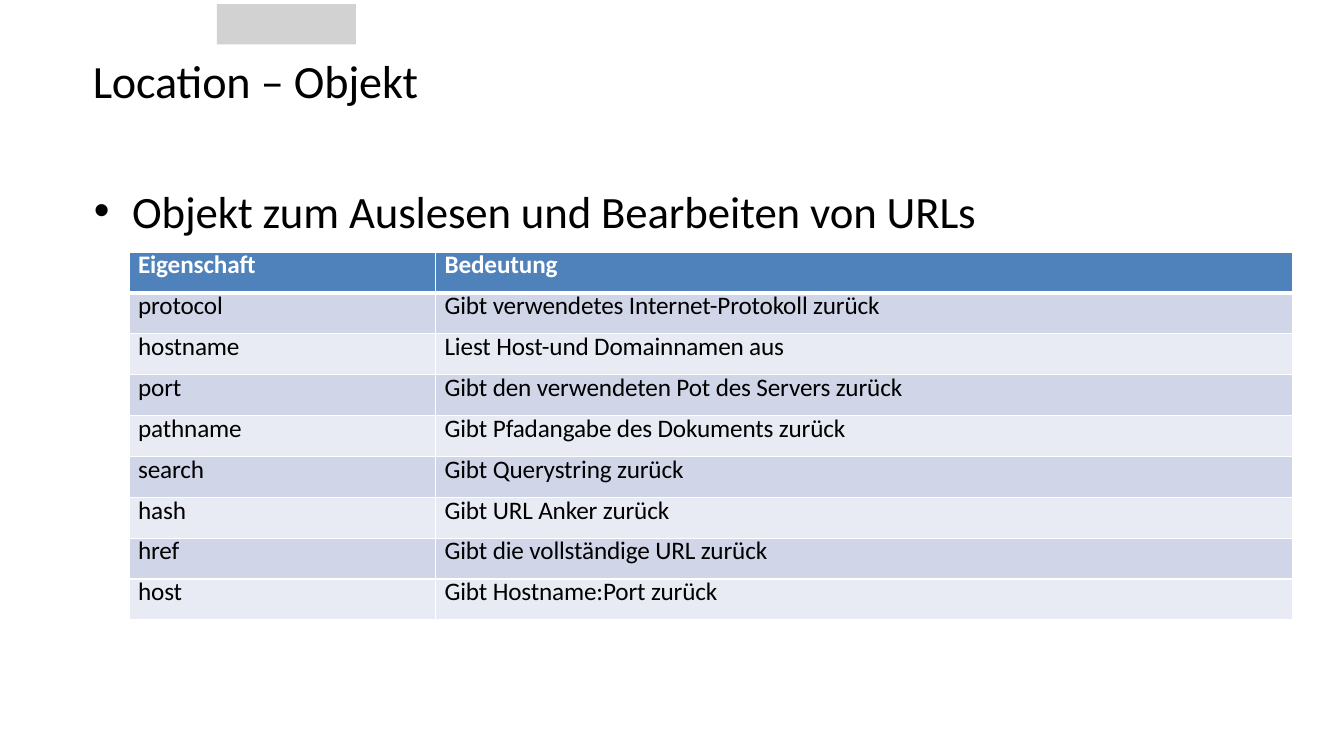
from lxml import etree
from pptx import Presentation
from pptx.dml.color import RGBColor
from pptx.enum.shapes import MSO_SHAPE
from pptx.enum.text import MSO_ANCHOR, MSO_AUTO_SIZE, PP_ALIGN
from pptx.oxml.ns import qn
from pptx.util import Inches, Pt

TITLE = "Location – Objekt"
BULLET = "Objekt zum Auslesen und Bearbeiten von URLs"
ROWS = [
    ("Eigenschaft", "Bedeutung"),
    ("protocol", "Gibt verwendetes Internet-Protokoll zurück"),
    ("hostname", "Liest Host-und Domainnamen aus"),
    ("port", "Gibt den verwendeten Pot des Servers zurück"),
    ("pathname", "Gibt Pfadangabe des Dokuments zurück"),
    ("search", "Gibt Querystring zurück"),
    ("hash", "Gibt URL Anker zurück"),
    ("href", "Gibt die vollständige URL zurück"),
    ("host", "Gibt Hostname:Port zurück"),
]
COL_WIDTHS = (3.04, 8.5)
TABLE_HEIGHT = 3.65

BLACK = RGBColor(0x00, 0x00, 0x00)
WHITE = RGBColor(0xFF, 0xFF, 0xFF)
GREY = RGBColor(0xD3, 0xD2, 0xD2)
HEADER = RGBColor(0x4F, 0x81, 0xBB)
BANDS = (RGBColor(0xE9, 0xEB, 0xF4), RGBColor(0xD0, 0xD6, 0xE8))
FONT = "Calibri"
RECTANGLE = MSO_SHAPE.RECTANGLE
TOP = MSO_ANCHOR.TOP
LEFT = PP_ALIGN.LEFT
NO_FIT = MSO_AUTO_SIZE.NONE


def write(tf, text, size, color=BLACK, bold=False, spacing=-0.1):
    """Put one formatted paragraph into a text frame."""
    p = tf.paragraphs[0]
    r = p.add_run()
    r.text = text
    r._r.get_or_add_rPr().set("spc", str(round(spacing * 100)))
    p.alignment = LEFT
    p.font.name, p.font.size, p.font.bold = FONT, Pt(size), bold
    p.font.color.rgb = color
    r.font.name, r.font.size, r.font.bold = FONT, Pt(size), bold
    r.font.color.rgb = color
    return p


def set_frame(tf):
    """Give a text frame tight margins and top anchoring."""
    tf.margin_left = tf.margin_right = tf.margin_bottom = 0
    tf.margin_top = Inches(0.01)
    tf.word_wrap = True
    tf.auto_size = NO_FIT
    tf.vertical_anchor = TOP


def set_borders(cell, top, bottom):
    """Draw white borders, with the top and bottom widths in points."""
    tc_pr = cell._tc.get_or_add_tcPr()
    for side, width in (("L", 1), ("R", 1), ("T", top), ("B", bottom)):
        ln = etree.SubElement(tc_pr, qn(f"a:ln{side}"), w=str(Pt(width)))
        fill = etree.SubElement(ln, qn("a:solidFill"))
        etree.SubElement(fill, qn("a:srgbClr"), val=str(WHITE))


def add_table(s):
    """Add the banded table of properties."""
    frame = s.shapes.add_table(
        len(ROWS), len(COL_WIDTHS), Inches(1.28), Inches(2.5),
        Inches(sum(COL_WIDTHS)), Inches(TABLE_HEIGHT))
    table = frame.table
    for column, width in zip(table.columns, COL_WIDTHS):
        column.width = Inches(width)
    for i, texts in enumerate(ROWS):
        table.rows[i].height = Inches(TABLE_HEIGHT / len(ROWS))
        is_header = i == 0
        for j, text in enumerate(texts):
            cell = table.cell(i, j)
            cell.margin_left = Inches(0.09)
            cell.margin_right = cell.margin_top = cell.margin_bottom = 0
            cell.vertical_anchor = TOP
            set_borders(cell, 3 if i == 1 else 1, 3 if is_header else 1)
            cell.fill.solid()
            cell.fill.fore_color.rgb = HEADER if is_header else BANDS[i % 2]
            p = write(cell.text_frame, text, 18,
                      WHITE if is_header else BLACK, is_header)
            p.line_spacing = Pt(20.4)


def main():
    """Build the slide and save it."""
    prs = Presentation()
    prs.slide_width, prs.slide_height = Inches(13.33), Inches(7.5)
    s = prs.slides.add_slide(prs.slide_layouts[5])

    bar = s.shapes.add_shape(
        RECTANGLE, Inches(2.15), Inches(0.04), Inches(1.38), Inches(0.4))
    bar.shadow.inherit = False
    bar.fill.solid()
    bar.fill.fore_color.rgb = GREY
    bar.line.fill.background()

    title = s.shapes.title
    title.left, title.top = Inches(0.92), Inches(0.51)
    title.width, title.height = Inches(3.26), Inches(0.58)
    set_frame(title.text_frame)
    p = write(title.text_frame, TITLE, 33, spacing=-0.15)
    p.space_before = Pt(1)

    box = s.shapes.add_textbox(
        Inches(0.92), Inches(1.81), Inches(8.82), Inches(0.56))
    set_frame(box.text_frame)
    p = write(box.text_frame, BULLET, 32)
    p.space_before = Pt(1.1)
    p_pr = p._p.get_or_add_pPr()
    p_pr.set("marL", str(Inches(0.39)))
    p_pr.set("indent", str(Inches(-0.38)))
    bullet = etree.Element(qn("a:buChar"), char="•")
    p_pr.find(qn("a:defRPr")).addprevious(bullet)
    bullet.addprevious(etree.Element(qn("a:buFont"), typeface="Arial"))

    add_table(s)
    prs.save("out.pptx")


if __name__ == "__main__":
    main()
